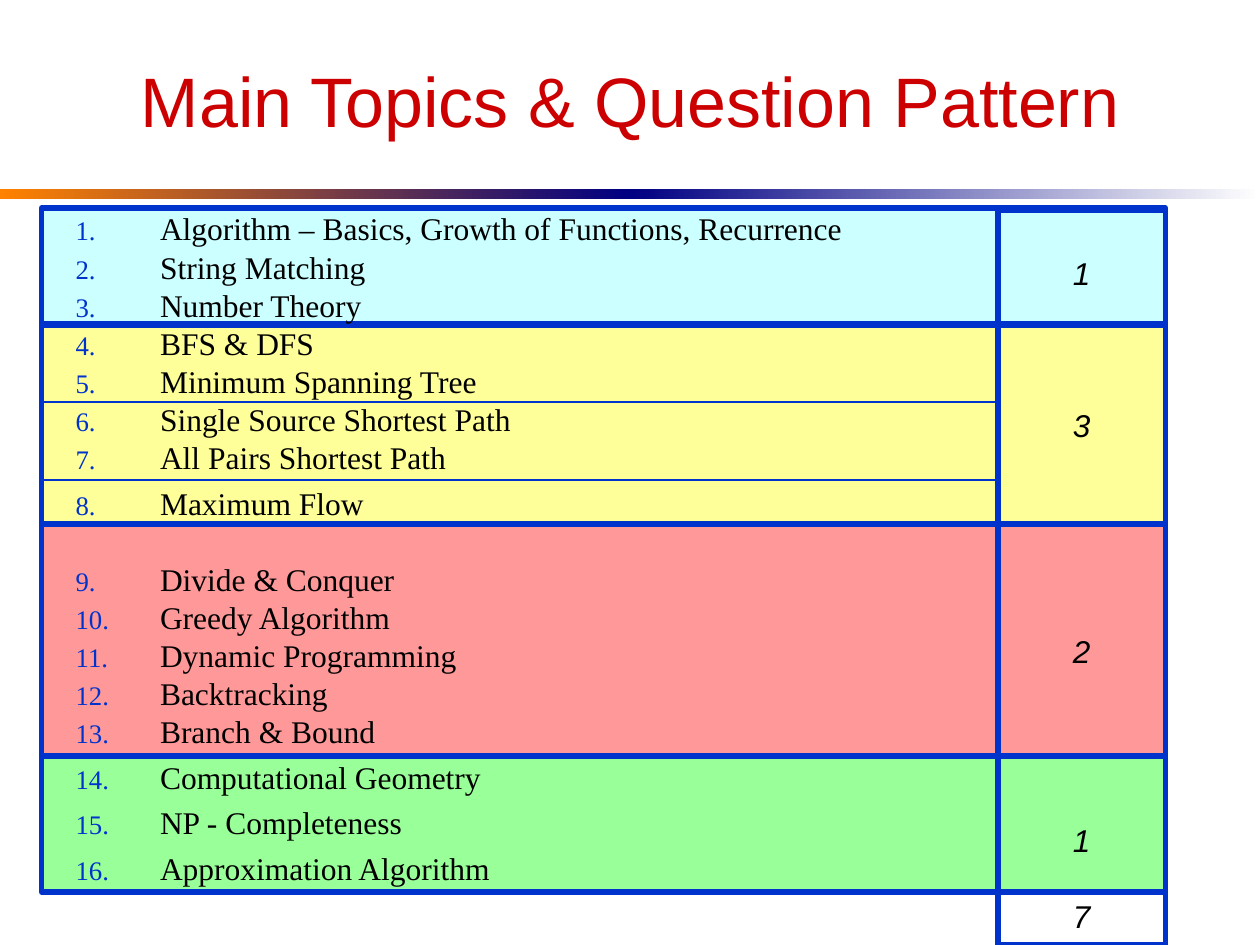
"""Build the slide of main topics and question pattern."""
from lxml import etree
from pptx import Presentation
from pptx.dml.color import RGBColor
from pptx.enum.shapes import MSO_CONNECTOR, MSO_SHAPE
from pptx.enum.text import MSO_ANCHOR, MSO_AUTO_SIZE, PP_ALIGN
from pptx.oxml.ns import qn
from pptx.util import Inches, Pt

RECT, LINE = MSO_SHAPE.RECTANGLE, MSO_CONNECTOR.STRAIGHT
TOP, MIDDLE = MSO_ANCHOR.TOP, MSO_ANCHOR.MIDDLE
CENTER, LEFT = PP_ALIGN.CENTER, PP_ALIGN.LEFT
NO_FIT = MSO_AUTO_SIZE.NONE

COLORS = {
    "title": "CC0000", "text": "000000", "edge": "0033CC",
    "orange": "FF8200", "navy": "000082", "white": "FFFFFF",
    "red": "FF9999", "green": "99FF99", "yellow": "FFFF99", "cyan": "CCFFFF",
}
FONTS = {
    "title": {"name": "Arial", "size": Pt(40)},
    "topic": {"name": "Times New Roman", "size": Pt(18)},
    "count": {"name": "Arial", "size": Pt(18), "italic": True},
}
FRAMES = {
    "title": {"vertical_anchor": MIDDLE, "word_wrap": True, "auto_size": NO_FIT},
    "topic": {"vertical_anchor": TOP, "word_wrap": True, "auto_size": NO_FIT},
    "count": {"vertical_anchor": TOP, "word_wrap": False, "auto_size": NO_FIT,
              "margin_top": Inches(0.35)},
}
BARS = [(0, "orange", "navy"), (5, "navy", "white")]
BANDS = [("red", 4.08, 1.92), ("green", 6, 1.08),
         ("yellow", 2.58, 1.58), ("cyan", 1.65, 0.92)]
TOPICS = [
    "Algorithm – Basics, Growth of Functions, Recurrence", "String Matching",
    "Number Theory", "BFS & DFS", "Minimum Spanning Tree",
    "Single Source Shortest Path", "All Pairs Shortest Path", "Maximum Flow",
    "Divide & Conquer", "Greedy Algorithm", "Dynamic Programming",
    "Backtracking", "Branch & Bound", "Computational Geometry",
    "NP - Completeness", "Approximation Algorithm",
]
LOOSE = ("Maximum Flow", *TOPICS[-3:])
COUNTS = [("1", 1), ("3", 4), ("2", 6), ("1", 5), ("7", 2)]
PITCH = 21.6
EDGE, SPLIT, WIDE = 0.33, 7.92, 8.92


def rgb(name):
    return RGBColor.from_string(COLORS[name])


def style(target, values, color=None):
    for key, value in values.items():
        setattr(target, key, value)
    if color:
        target.color.rgb = rgb(color)


prs = Presentation()
prs.slide_width, prs.slide_height = Inches(10), Inches(7.5)
slide = prs.slides.add_slide(prs.slide_layouts[1])
shapes = slide.shapes
title, body = slide.placeholders

for left, start, end in BARS:
    bar = shapes.add_shape(RECT, Inches(left), Inches(1.5), Inches(5), Inches(0.08))
    bar.shadow.inherit = False
    bar.line.fill.background()
    bar.fill.gradient()
    bar.fill.gradient_angle = 0
    for stop, name, place in zip(bar.fill.gradient_stops, (start, end), (0, 1)):
        stop.color.rgb = rgb(name)
        stop.position = place

for name, top, height in BANDS:
    band = shapes.add_shape(RECT, Inches(EDGE), Inches(top), Inches(WIDE), Inches(height))
    band.shadow.inherit = False
    band.fill.solid()
    band.fill.fore_color.rgb = rgb(name)
    style(band.line, {"width": Pt(3)}, "edge")

style(title, {"left": Inches(0.5), "top": Inches(0.25),
              "width": Inches(9), "height": Inches(1.08)})
title.text_frame.text = "Main Topics & Question Pattern"
style(title.text_frame, FRAMES["title"])
head = title.text_frame.paragraphs[0]
head.alignment = CENTER
style(head.font, FONTS["title"], "title")

style(body, {"left": Inches(0.5), "top": Inches(1.67),
             "width": Inches(WIDE), "height": Inches(4.75)})
shapes._spTree.append(body._element)
body.text_frame.text = "\n".join(TOPICS)
style(body.text_frame, FRAMES["topic"])
for para, topic in zip(body.text_frame.paragraphs, TOPICS):
    props = para._p.get_or_add_pPr()
    props.set("marL", str(Inches(0.67)))
    props.set("indent", str(-Inches(0.67)))
    tint = etree.SubElement(props, qn("a:buClr"))
    etree.SubElement(tint, qn("a:srgbClr"), val=COLORS["edge"])
    etree.SubElement(props, qn("a:buSzPct"), val="85000")
    etree.SubElement(props, qn("a:buFont"), typeface="Times New Roman")
    etree.SubElement(props, qn("a:buAutoNum"), type="arabicPeriod")
    gap = {TOPICS[0]: 0, "Divide & Conquer": 26}.get(topic, 4.5)
    style(para, {"alignment": LEFT, "space_before": Pt(gap),
                 "line_spacing": 1.0 if topic in LOOSE else 0.8})
    style(para.font, FONTS["topic"], "text")

column = shapes.add_shape(RECT, Inches(SPLIT), Inches(1.67), Inches(1.33), Inches(5.83))
column.shadow.inherit = False
column.fill.background()
style(column.line, {"width": Pt(3)}, "edge")
column.text_frame.text = "\n".join(count for count, step in COUNTS)
style(column.text_frame, FRAMES["count"])
for para, (count, step) in zip(column.text_frame.paragraphs, COUNTS):
    style(para, {"alignment": CENTER, "line_spacing": Pt(PITCH),
                 "space_before": Pt(PITCH * (step - 1))})
    style(para.font, FONTS["count"], "text")

for y in (3.19, 3.81):
    rule = shapes.add_connector(LINE, Inches(EDGE), Inches(y), Inches(SPLIT), Inches(y))
    style(rule.line, {"width": Pt(1.5)}, "edge")
    etree.SubElement(rule._element.spPr, qn("a:effectLst"))

prs.save("out.pptx")
